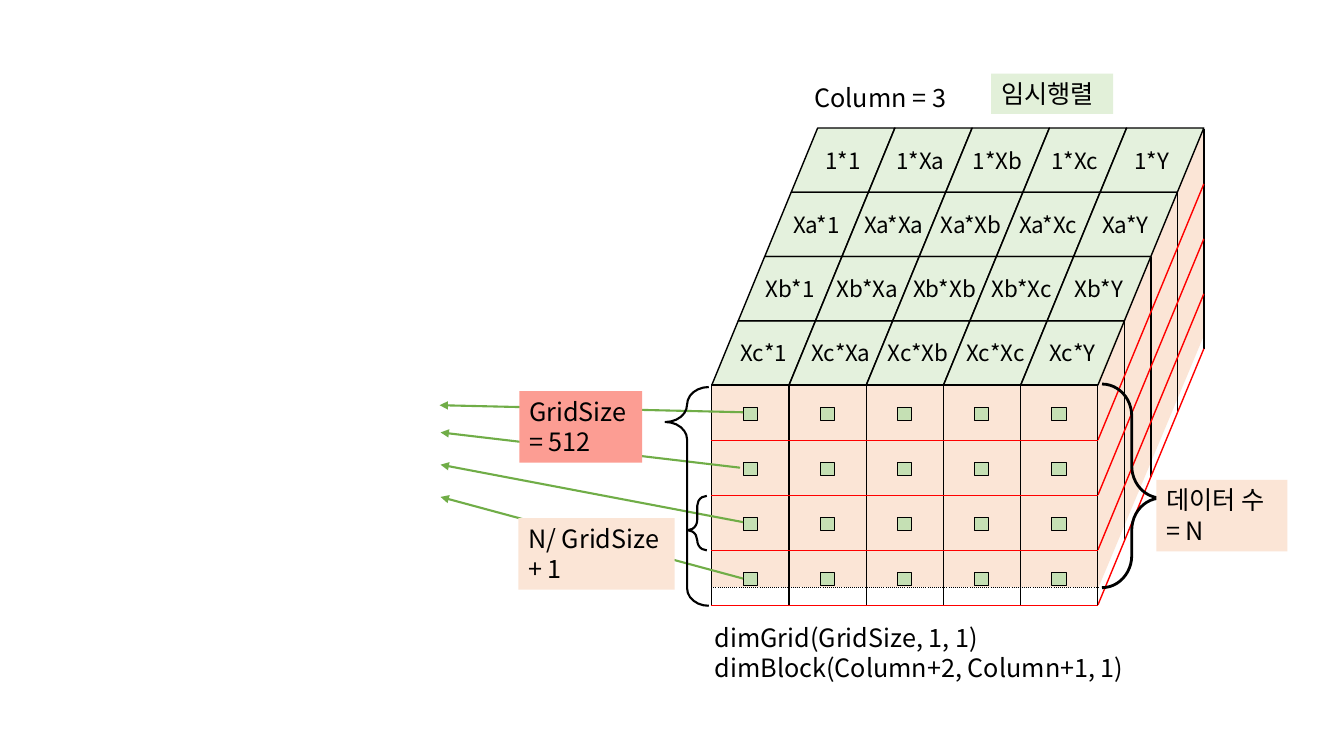
from lxml import etree
from pptx import Presentation
from pptx.dml.color import RGBColor
from pptx.enum.shapes import MSO_CONNECTOR, MSO_SHAPE
from pptx.enum.text import MSO_ANCHOR, PP_ALIGN
from pptx.oxml.ns import qn
from pptx.util import Inches, Pt

STRAIGHT = MSO_CONNECTOR.STRAIGHT
RECT, SLANT, BRACE = MSO_SHAPE.RECTANGLE, MSO_SHAPE.PARALLELOGRAM, MSO_SHAPE.LEFT_BRACE
CENTER, MIDDLE = PP_ALIGN.CENTER, MSO_ANCHOR.MIDDLE
FONT = "Noto Sans CJK KR"
BLACK, RED, ARROW = "000000", "FF0000", "70AD47"
PEACH, GREEN, PALE, CORAL = "FBE5D6", "C5E0B4", "E2F0D9", "FC9D93"
ROWS, COLS = ["Xc", "Xb", "Xa", "1"][::-1], ["1", "Xa", "Xb", "Xc", "Y"]


def rgb(value):
    return RGBColor.from_string(value)


def paint(sp, fill=None, line=None, width=1):
    sp.shadow.inherit = False
    if fill:
        sp.fill.solid()
        sp.fill.fore_color.rgb = rgb(fill)
    else:
        sp.fill.background()
    if line:
        sp.line.color.rgb = rgb(line)
        sp.line.width = Pt(width)
    else:
        sp.line.fill.background()


def add_shape(slide, kind, box, fill=None, line=None, width=1, adj=()):
    sp = slide.shapes.add_shape(kind, *map(Inches, box))
    paint(sp, fill, line, width)
    for i, value in enumerate(adj):
        sp.adjustments[i] = value
    return sp


def flip(sp, axis):
    sp._element.spPr.find(qn("a:xfrm")).set(axis, "1")


def write(sp, lines, size=18, align=PP_ALIGN.LEFT, anchor=MSO_ANCHOR.TOP, wrap=True):
    tf = sp.text_frame
    tf.word_wrap = wrap
    tf.vertical_anchor = anchor
    for i, line in enumerate(lines):
        p = tf.add_paragraph() if i else tf.paragraphs[0]
        p.text = line
        p.alignment = align
        p.font.size = Pt(size)
        p.font.name = FONT
        p.font.color.rgb = rgb(BLACK)
        etree.SubElement(p.font._element, qn("a:ea")).set("typeface", FONT)


def add_line(slide, start, end, color, width=1, arrow=False):
    c = slide.shapes.add_connector(STRAIGHT, *map(Inches, (*start, *end)))
    c.line.color.rgb = rgb(color)
    c.line.width = Pt(width)
    if arrow:
        etree.SubElement(c.line._get_or_add_ln(), qn("a:tailEnd")).set("type", "triangle")
    etree.SubElement(c._element.spPr, qn("a:effectLst"))


def set_borders(cell, **sides):
    tcPr = cell._tc.get_or_add_tcPr()
    for i, side in enumerate("LRTB"):
        color, dash = sides[side]
        ln = etree.Element(qn("a:ln" + side), w=str(Pt(1)))
        fill = etree.SubElement(ln, qn("a:solidFill"))
        etree.SubElement(fill, qn("a:srgbClr"), val=color)
        etree.SubElement(ln, qn("a:prstDash"), val=dash)
        tcPr.insert(i, ln)


def top_face(slide, x, y, w, h, lean):
    """Slanted grid of products; lean is the shift from front to back."""
    dx, dy, shift = w / len(COLS), h / len(ROWS), lean / len(ROWS)
    for i, row in enumerate(ROWS):
        left = x + (len(ROWS) - 1 - i) * shift
        for j, col in enumerate(COLS):
            box = (left + j * dx, y + i * dy, dx + shift, dy)
            sp = add_shape(slide, SLANT, box, GREEN, BLACK, adj=[shift / dy])
            clr = sp.fill._xPr.find(qn("a:solidFill"))[0]
            etree.SubElement(clr, qn("a:alpha")).set("val", "45000")
            sp.text_frame.margin_left = sp.text_frame.margin_right = 0
            write(sp, [f"{row}*{col}"], 16, CENTER, MIDDLE)


def side_fill(slide, x, y, w, h):
    box = (x + (w - h) / 2, y + (h - w) / 2, h, w)
    sp = add_shape(slide, SLANT, box, PEACH, adj=[2.39])
    sp.rotation = 270
    flip(sp, "flipV")


def side_lines(slide, x, y, w, rise, depth):
    """Black uprights, then red lines from the front edge to the back."""
    n = len(ROWS)
    for i in range(n):
        px, py = x + w * (n - i) / n, y + rise * i / n
        add_line(slide, (px, py), (px, py + depth), BLACK)
    for i in range(n, 0, -1):
        py = y + depth * i / n
        add_line(slide, (x, py + rise), (x + w, py), RED)


def front_face(slide, x, y, w, h):
    heights = [h / 4] * 3 + [h / 6, h / 12]
    edges = [(BLACK, "solid")] + [(RED, "solid")] * 3 + [(BLACK, "sysDot"), (RED, "solid")]
    frame = slide.shapes.add_table(len(heights), len(COLS), *map(Inches, (x, y, w, h)))
    table = frame.table
    table.first_row = table.horz_banding = False
    for i, height in enumerate(heights):
        table.rows[i].height = Inches(height)
        for cell in table.rows[i].cells:
            cell.margin_top = cell.margin_bottom = 0
            cell.text_frame.paragraphs[0].font.size = Pt(6)
            if i < 4:
                cell.fill.solid()
                cell.fill.fore_color.rgb = rgb(PEACH)
            else:
                cell.fill.background()
            side = (BLACK, "solid")
            set_borders(cell, L=side, R=side, T=edges[i], B=edges[i + 1])
    # One thread marker per cell
    dx, dy = w / len(COLS), h / 4
    for j in range(len(COLS)):
        for i in range(4):
            box = (x + 0.31 + j * dx, y + 0.22 + i * dy, 0.14, 0.13)
            add_shape(slide, RECT, box, GREEN, BLACK, 0.75)


def captions(slide, x, y):
    for box, lines in (((x, y + 5.35, 5.01, 0.71),
                        ["dimGrid(GridSize, 1, 1)", "dimBlock(Column+2, Column+1, 1)"]),
                       ((x + 0.99, y, 1.58, 0.4), ["Column = 3"])):
        write(slide.shapes.add_textbox(*map(Inches, box)), lines)
    tag = add_shape(slide, RECT, (x + 2.84, y - 0.04, 1.21, 0.4), PALE)
    write(tag, ["임시행렬"], wrap=False)


def data_count(slide, x, y):
    sp = add_shape(slide, BRACE, (x, y, 0.59, 2.02), line=BLACK, width=2, adj=[0.54, 0.56])
    flip(sp, "flipH")
    label = add_shape(slide, RECT, (x + 0.54, y + 0.95, 1.3, 0.71), PEACH)
    write(label, ["데이터 수", "= N"])


def grid_notes(slide, x, y):
    # Arrows from the first column of markers
    for start, end in (((2.23, 0.25), (-0.78, 0.18)), ((2.2, 0.8), (-0.77, 0.45)),
                       ((2.23, 1.34), (-0.77, 0.77)), ((2.23, 1.9), (-0.77, 1.09))):
        add_line(slide, (x + start[0], y + start[1]), (x + end[0], y + end[1]),
                 ARROW, 1.5, True)
    # Braces, each with its label
    for brace, tip, box, fill, lines in (
            ((1.68, 1.08, 0.19, 0.54), 0.63, (0, 1.3, 1.55, 0.71), PEACH, ["N/ GridSize + 1"]),
            ((1.46, 0, 0.43, 2.17), 0.16, (0.01, 0.04, 1.22, 0.71), CORAL,
             ["GridSize ", "= 512"])):
        bx, by, bw, bh = brace
        add_shape(slide, BRACE, (x + bx, y + by, bw, bh), None, BLACK, 1.5, [0.54, tip])
        lx, ly, lw, lh = box
        write(add_shape(slide, RECT, (x + lx, y + ly, lw, lh), fill), lines)


prs = Presentation()
prs.slide_width, prs.slide_height = Inches(13.33), Inches(7.5)
slide = prs.slides.add_slide(prs.slide_layouts[6])
side_fill(slide, 10.89, 1.27, 1.05, 4.57)
top_face(slide, 7.06, 1.27, 3.83, 2.55, 1.05)
side_lines(slide, 10.89, 1.28, 1.05, 2.54, 2.18)
captions(slide, 6.99, 0.77)
front_face(slide, 7.06, 3.82, 3.83, 2.19)
data_count(slide, 10.93, 3.81)
grid_notes(slide, 5.14, 3.84)
prs.save("out.pptx")
